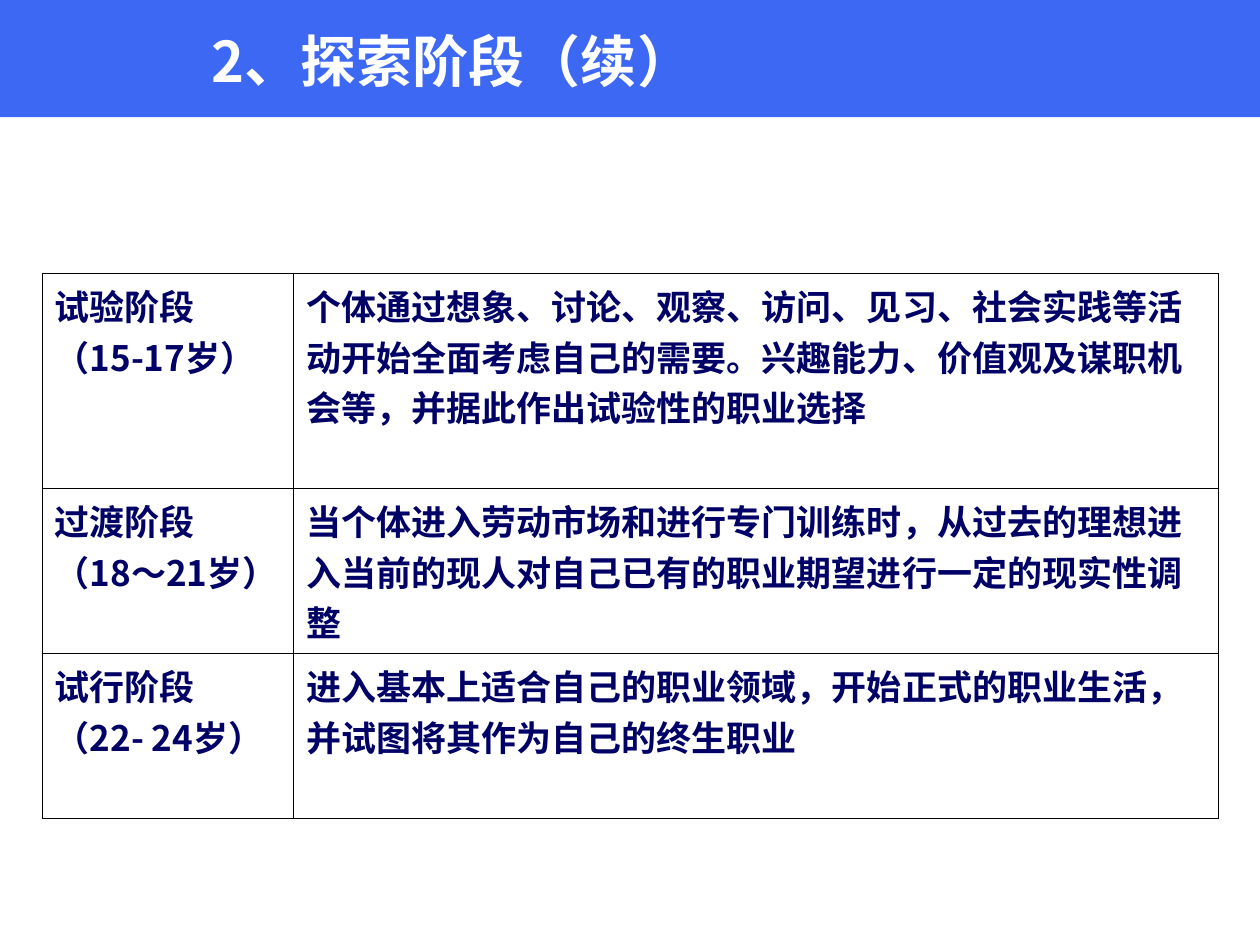
from lxml.etree import SubElement
from pptx import Presentation
from pptx.dml.color import RGBColor
from pptx.enum.shapes import MSO_SHAPE as Shape
from pptx.enum.text import MSO_ANCHOR as Anchor, MSO_AUTO_SIZE as AutoSize, PP_ALIGN as Align
from pptx.oxml.ns import qn
from pptx.util import Pt

BLUE = RGBColor(0x3C, 0x68, 0xF4)
NAVY = RGBColor(0x00, 0x00, 0x66)
WHITE = RGBColor(0xFF, 0xFF, 0xFF)
BLACK = RGBColor(0x00, 0x00, 0x00)
FONT = "Noto Sans CJK SC"

STAGES = [
    ("试验阶段\n（15-17岁）",
     "个体通过想象、讨论、观察、访问、见习、社会实践等活动开始全面考虑自己的需要。"
     "兴趣能力、价值观及谋职机会等，并据此作出试验性的职业选择"),
    ("过渡阶段\n（18～21岁）",
     "当个体进入劳动市场和进行专门训练时，从过去的理想进入当前的现人"
     "对自己已有的职业期望进行一定的现实性调整"),
    ("试行阶段\n（22- 24岁）",
     "进入基本上适合自己的职业领域，开始正式的职业生活，并试图将其作为自己的终生职业"),
]
COLUMN_WIDTHS = [143.7, 528.8]
ROW_HEIGHTS = [122.9, 93, 89.5]


def write(frame, text, size, color):
    """Fill a text frame, one bold left-aligned paragraph per line."""
    frame.text = text
    for para in frame.paragraphs:
        para.alignment = Align.LEFT
        for span in para.runs:
            span.font.size = Pt(size)
            span.font.bold = True
            span.font.name = FONT
            span.font.color.rgb = color
            SubElement(span.font._element, qn("a:ea"), typeface=FONT)


def add_borders(cell, width, color):
    properties = cell._tc.get_or_add_tcPr()
    for side in ("lnL", "lnR", "lnT", "lnB"):
        line = SubElement(properties, qn(f"a:{side}"), w=str(Pt(width)))
        fill = SubElement(line, qn("a:solidFill"))
        SubElement(fill, qn("a:srgbClr"), val=str(color))


deck = Presentation()
deck.slide_width, deck.slide_height = Pt(720), Pt(540)
page = deck.slides.add_slide(deck.slide_layouts[5])

# Title band, behind the title
band = page.shapes.add_shape(Shape.RECTANGLE, 0, 0, Pt(720), Pt(67))
band.shadow.inherit = False
band.fill.solid()
band.fill.fore_color.rgb = BLUE
band.line.fill.background()
page.shapes._spTree.insert(2, band._element)

title = page.shapes.title
title.left, title.top, title.width, title.height = Pt(113.8), Pt(12.2), Pt(516), Pt(44.6)
title.text_frame.auto_size = AutoSize.NONE
title.text_frame.word_wrap = True
title.text_frame.vertical_anchor = Anchor.MIDDLE
write(title.text_frame, "2、探索阶段（续）", 32, WHITE)

# Stage table
table = page.shapes.add_table(
    len(STAGES), len(COLUMN_WIDTHS), Pt(24), Pt(156.2),
    Pt(sum(COLUMN_WIDTHS)), Pt(sum(ROW_HEIGHTS))).table
table.first_row = table.horz_banding = False
for column, width in zip(table.columns, COLUMN_WIDTHS):
    column.width = Pt(width)
for row, height, texts in zip(table.rows, ROW_HEIGHTS, STAGES):
    row.height = Pt(height)
    for cell, text in zip(row.cells, texts):
        add_borders(cell, 0.45, BLACK)
        cell.fill.background()
        write(cell.text_frame, text, 20, NAVY)

deck.save("out.pptx")
